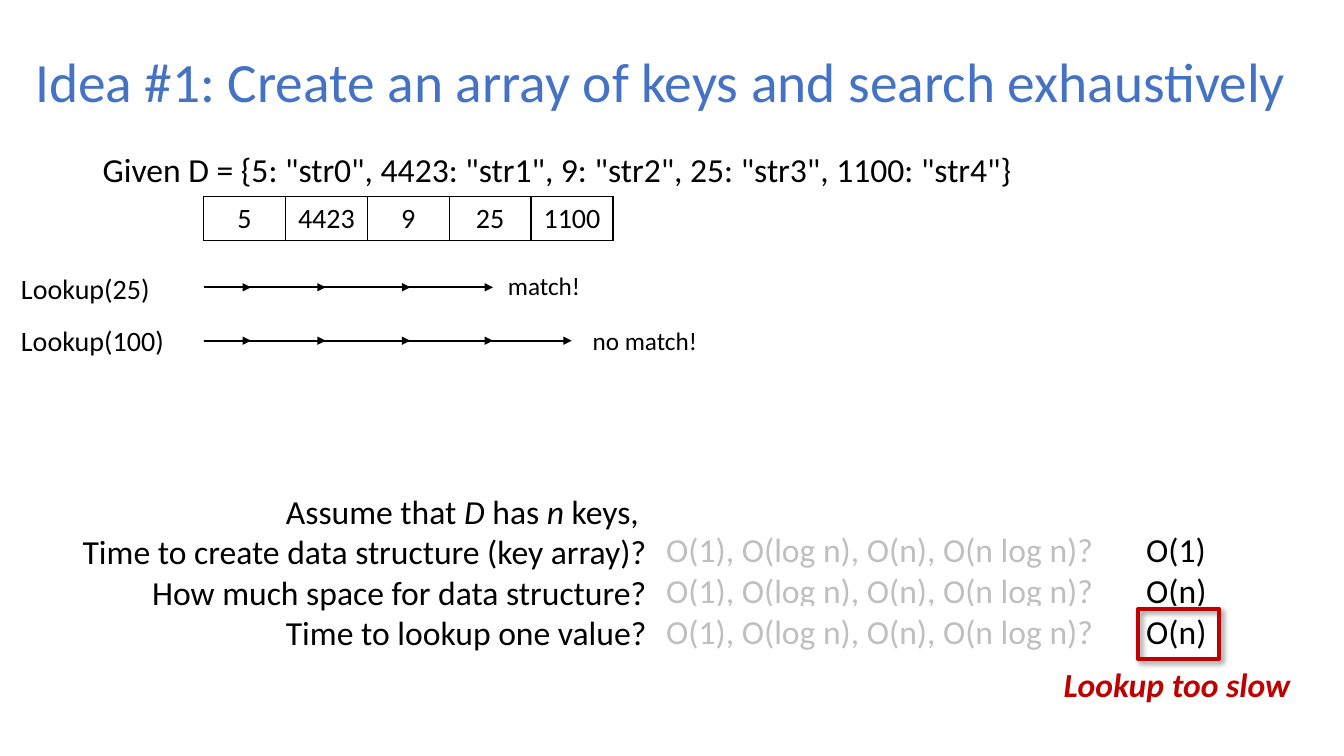
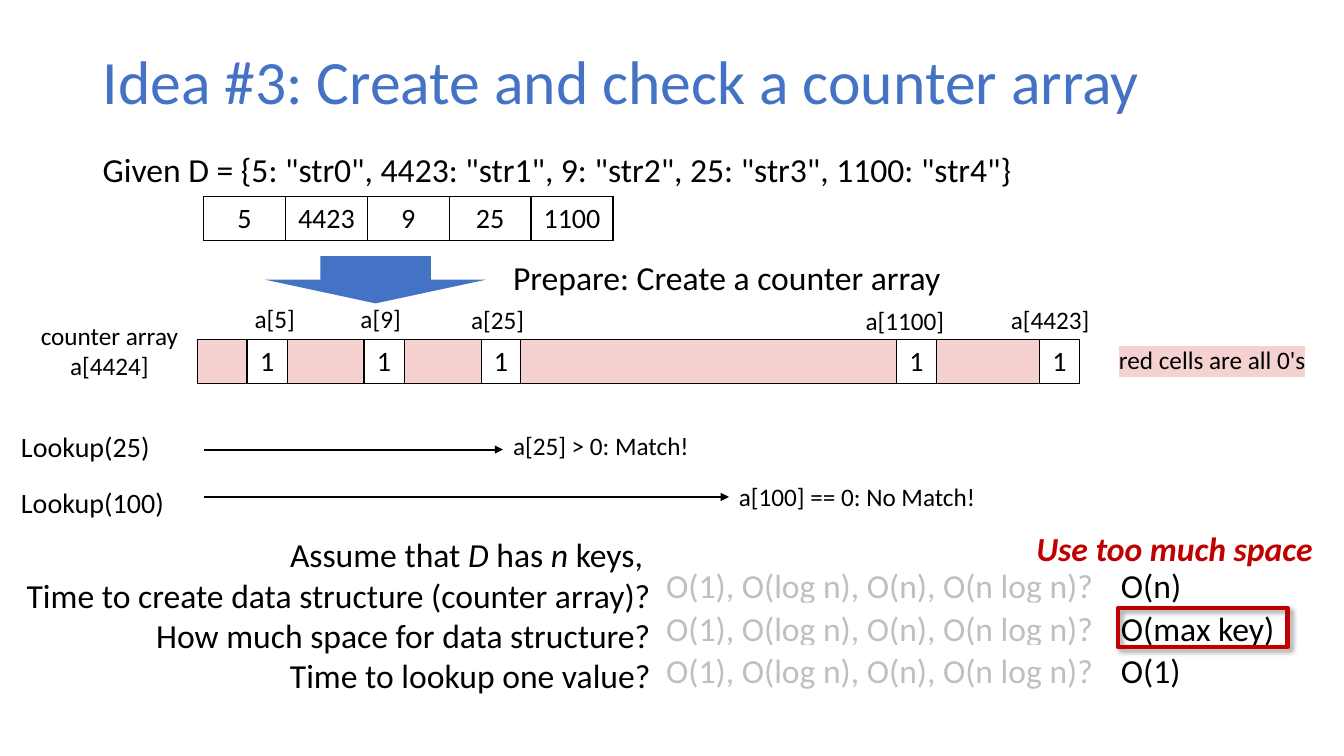
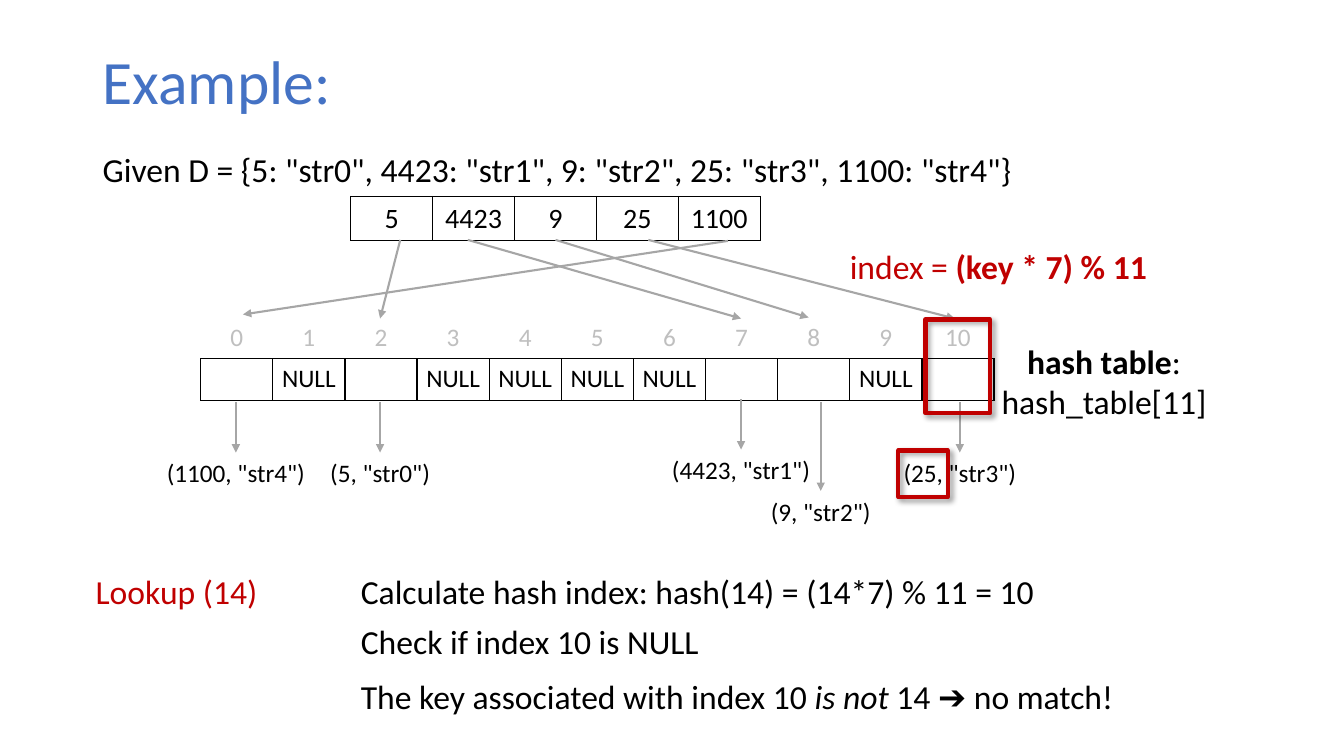
import pptx
import pptx.util
import pptx.dml.color
import pptx.enum.shapes
import pptx.enum.text
import pptx.oxml
import pptx.oxml.ns

Inches = pptx.util.Inches
Pt = pptx.util.Pt
ALIGN = pptx.enum.text.PP_ALIGN
SHAPE = pptx.enum.shapes.MSO_SHAPE
FONT = "Calibri"
BLACK, WHITE, BLUE, RED = "000000", "FFFFFF", "4472C4", "C00000"
PALE, GREY, PINK = "BFBFBF", "A6A6A6", "F5D1CF"
KEYS = ["5", "4423", "9", "25", "1100"]
GIVEN = 'Given D = {5: "str0", 4423: "str1", 9: "str2", 25: "str3", 1100: "str4"}'
CHOICE = "O(1), O(log n), O(n), O(n log n)?"


def color(code):
    return pptx.dml.color.RGBColor.from_string(code)


def node(xml):
    space = pptx.oxml.ns.nsdecls("a")
    return pptx.oxml.parse_xml(xml.replace(" ", f" {space} ", 1))


def style(font, size, code, bold=None, italic=None):
    font.name = FONT
    font.size = Pt(size)
    font.color.rgb = color(code)
    font.bold = bold
    font.italic = italic


def text(slide, box, lines, size=24, code=BLACK, align=ALIGN.LEFT, wrap=False,
         bold=None, italic=None, space=None, fill=None, mark=None):
    shape = slide.shapes.add_textbox(*map(Inches, box))
    frame = shape.text_frame
    frame.word_wrap = wrap
    if not wrap:
        frame.auto_size = pptx.enum.text.MSO_AUTO_SIZE.SHAPE_TO_FIT_TEXT
    if fill:
        shape.fill.solid()
        shape.fill.fore_color.rgb = color(fill)
    for i, line in enumerate([lines] if isinstance(lines, str) else lines):
        para = frame.paragraphs[0] if i == 0 else frame.add_paragraph()
        para.alignment = align
        if space:
            para.line_spacing = space
        style(para.font, size, code, bold, italic)
        for part, look in [(line, "")] if isinstance(line, str) else line:
            run = para.add_run()
            run.text = part
            if "b" in look:
                run.font.bold = True
            if "i" in look:
                run.font.italic = True
            if mark:
                run._r.get_or_add_rPr().append(node(
                    f'<a:highlight ><a:srgbClr val="{mark}"/></a:highlight>'))
    return shape


def label(slide, x, y, w, words):
    text(slide, (x, y, w, 0.4), words, 18, align=ALIGN.CENTER)


def arrow(slide, start, end, code=BLACK):
    line = slide.shapes.add_connector(
        pptx.enum.shapes.MSO_CONNECTOR.STRAIGHT, *map(Inches, start + end))
    line.line.color.rgb = color(code)
    line.line.width = Pt(1.5)
    line.line._get_or_add_ln().append(node('<a:tailEnd type="triangle"/>'))
    line._element.spPr.append(node("<a:effectLst />"))


def frame(slide, *box):
    shape = slide.shapes.add_shape(SHAPE.RECTANGLE, *map(Inches, box))
    shape.fill.background()
    shape.line.color.rgb = color(RED)
    shape.line.width = Pt(3)
    shape._element.spPr.append(node(
        '<a:effectLst ><a:outerShdw blurRad="50800" dist="38100" dir="2700000" '
        'algn="tl" rotWithShape="0"><a:srgbClr val="000000"><a:alpha val="40000"/>'
        '</a:srgbClr></a:outerShdw></a:effectLst>'))


def border(cell, shown):
    props = cell._tc.get_or_add_tcPr()
    paint = (f'<a:solidFill><a:srgbClr val="{BLACK}"/></a:solidFill>'
             if shown else "<a:noFill/>")
    for i, side in enumerate("LRTB"):
        props.insert(i, node(f'<a:ln{side} w="12700">{paint}</a:ln{side}>'))


def table(slide, x, y, widths, words, size=20, code=BLACK, lined=True,
          blank=None, tight=False):
    grid = slide.shapes.add_table(
        1, len(words), Inches(x), Inches(y), Inches(sum(widths)), Inches(0.41)).table
    grid.first_row = grid.horz_banding = False
    for i, (width, word) in enumerate(zip(widths, words)):
        grid.columns[i].width = Inches(width)
        cell = grid.cell(0, i)
        if blank and not word:
            cell.fill.solid()
            cell.fill.fore_color.rgb = color(blank)
        else:
            cell.fill.background()
        if tight:
            cell.margin_left = cell.margin_right = 0
        para = cell.text_frame.paragraphs[0]
        para.alignment = ALIGN.CENTER
        style(para.font, size, code)
        if word:
            para.add_run().text = word
        border(cell, lined)


def start(deck, title, x=0.92, w=11.5, size=44, left=2.02):
    slide = deck.slides.add_slide(deck.slide_layouts[6])
    head = text(slide, (x, 0.4, w, 0.87), title, size, BLUE, wrap=True, space=0.9)
    head.text_frame.vertical_anchor = pptx.enum.text.MSO_ANCHOR.MIDDLE
    text(slide, (0.92, 1.47, 9.53, 0.54), GIVEN, wrap=True, space=0.9)
    table(slide, left, 1.95, [4.06 / len(KEYS)] * len(KEYS), KEYS)
    return slide


def lookup(slide, key, top, level, ends, note):
    text(slide, (0.11, top, 1.63, 0.44) if key > 99 else (0.11, top, 1.49, 0.44),
         f"Lookup({key})", 20)
    for end in ends:
        arrow(slide, (2.02, level), (end, level))
    x, y, w, words = note
    text(slide, (x, y, w, 0.4), words, 18)


def costs(slide, box, kind, x, rows):
    text(slide, box, [
        [("Assume that ", ""), ("D", "i"), (" has ", ""), ("n", "i"), (" keys, ", "")],
        f"Time to create data structure ({kind})?",
        "How much space for data structure?",
        "Time to lookup one value?"], align=ALIGN.RIGHT)
    for y, w, answer in rows:
        text(slide, (6.51, y, 4.47, 0.5), CHOICE, code=PALE, fill=WHITE)
        text(slide, (x, y, w, 0.5), answer, fill=WHITE)


def verdict(slide, x, y, w, words):
    text(slide, (x, y, w, 0.5), words, code=RED, bold=True, italic=True)


def search(deck):
    slide = start(deck, "Idea #1: Create an array of keys and search exhaustively",
                  0.25, 12.83, 39.6)
    stops = [2.49, 3.23, 4.07, 4.89, 5.67]
    lookup(slide, 25, 2.64, 2.85, stops[:4], (4.94, 2.63, 0.93, "match!"))
    lookup(slide, 100, 3.16, 3.38, stops, (5.78, 3.18, 1.25, "no match!"))
    costs(slide, (0.66, 4.82, 5.85, 1.72), "key array", 11.27,
          [(5.6, 0.81, "O(n)"), (6.01, 0.81, "O(n)"), (5.2, 0.8, "O(1)")])
    frame(slide, 11.29, 6.04, 0.8, 0.5)
    verdict(slide, 10.45, 6.54, 2.47, "Lookup too slow")


def counter(deck):
    slide = start(deck, "Idea #3: Create and check a counter array")
    down = slide.shapes.add_shape(
        SHAPE.DOWN_ARROW, *map(Inches, (2.63, 2.54, 2.19, 0.47)))
    down.shadow.inherit = False
    down.fill.solid()
    down.fill.fore_color.rgb = color(BLUE)
    down.line.fill.background()
    text(slide, (4.99, 2.5, 4.48, 0.5), "Prepare: Create a counter array")
    for x, y, w, key in [(2.42, 2.96, 0.61, 5), (3.47, 2.96, 0.61, 9),
                         (4.57, 2.97, 0.73, 25), (8.48, 2.98, 0.99, 1100),
                         (9.92, 2.97, 0.99, 4423)]:
        label(slide, x, y, w, f"a[{key}]")
    text(slide, (0.29, 3.13, 1.59, 0.71), ["counter array", "a[4424]"], 18,
         align=ALIGN.CENTER, wrap=True)
    table(slide, 1.96, 3.37,
          [0.49, 0.4, 0.76, 0.4, 0.77, 0.38, 3.73, 0.4, 1.02, 0.4],
          ["", "1"] * 5, blank=PINK)
    text(slide, (11, 3.37, 2.07, 0.4), "red cells are all 0's", 18, mark=PINK)
    lookup(slide, 25, 4.21, 4.46, [4.99], (4.99, 4.22, 1.97, "a[25] > 0: Match!"))
    lookup(slide, 100, 4.77, 4.93, [7.23],
           (7.23, 4.73, 2.58, "a[100] == 0: No Match!"))
    costs(slide, (0.1, 5.25, 6.45, 1.72), "counter array", 11.02,
          [(5.56, 0.8, "O(n)"), (5.98, 1.74, "O(max key)"), (6.4, 0.8, "O(1)")])
    frame(slide, 11.09, 6.03, 1.68, 0.39)
    verdict(slide, 10.18, 5.19, 2.96, "Use too much space")


def example(deck):
    slide = start(deck, "Example:", left=3.48)
    text(slide, (8.33, 2.39, 3.69, 0.5),
         [[("index = ", ""), ("(key * 7) % 11", "b")]], code=RED, wrap=True)
    count = 11
    widths = [7.87 / count] * count
    used = {int(key) * 7 % count for key in KEYS}
    table(slide, 1.99, 3.56, widths,
          ["" if i in used else "NULL" for i in range(count)], 18, tight=True)
    table(slide, 1.99, 3.15, widths, [str(i) for i in range(count)], 18, PALE, False)
    for a, b, x, y in [(3.97, 2.38, 3.77, 3.16), (4.64, 2.38, 7.35, 3.16),
                       (5.51, 2.38, 8.02, 3.15), (6.43, 2.38, 9.47, 3.16),
                       (7.22, 2.39, 2.41, 3.12)]:
        arrow(slide, (a, b), (x, y), GREY)
    for x, top, end, w, words in [
            (2.34, 3.99, 4.49, 1.59, '(1100, "str4")'),
            (3.77, 3.99, 4.49, 1.2, '(5, "str0")'),
            (7.35, 3.96, 4.46, 1.59, '(4423, "str1")'),
            (8.14, 3.99, 4.87, 1.2, '(9, "str2")'),
            (9.52, 3.99, 4.49, 1.33, '(25, "str3")')]:
        label(slide, x - w / 2, end, w, words)
        arrow(slide, (x, top), (x, end), GREY)
    text(slide, (0.85, 5.61, 1.82, 0.5), "Lookup (14)", code=RED)
    text(slide, (3.48, 5.61, 6.93, 0.5),
         "Calculate hash index: hash(14) = (14*7) % 11 = 10")
    text(slide, (3.48, 6.11, 3.58, 0.5), "Check if index 10 is NULL")
    text(slide, (3.48, 6.66, 7.84, 0.5),
         [[("The key associated with index 10 ", ""), ("is not", "i"),
           (" 14 ➔ no match!", "")]], wrap=True)
    text(slide, (9.82, 3.33, 2.26, 0.91),
         [[("hash table", "b"), (":", "")], "hash_table[11]"], align=ALIGN.CENTER)
    frame(slide, 9.18, 3.17, 0.64, 0.93)
    frame(slide, 8.91, 4.47, 0.49, 0.46)


def main():
    deck = pptx.Presentation()
    deck.slide_width = Inches(13.33)
    deck.slide_height = Inches(7.5)
    search(deck)
    counter(deck)
    example(deck)
    deck.save("out.pptx")


if __name__ == "__main__":
    main()
